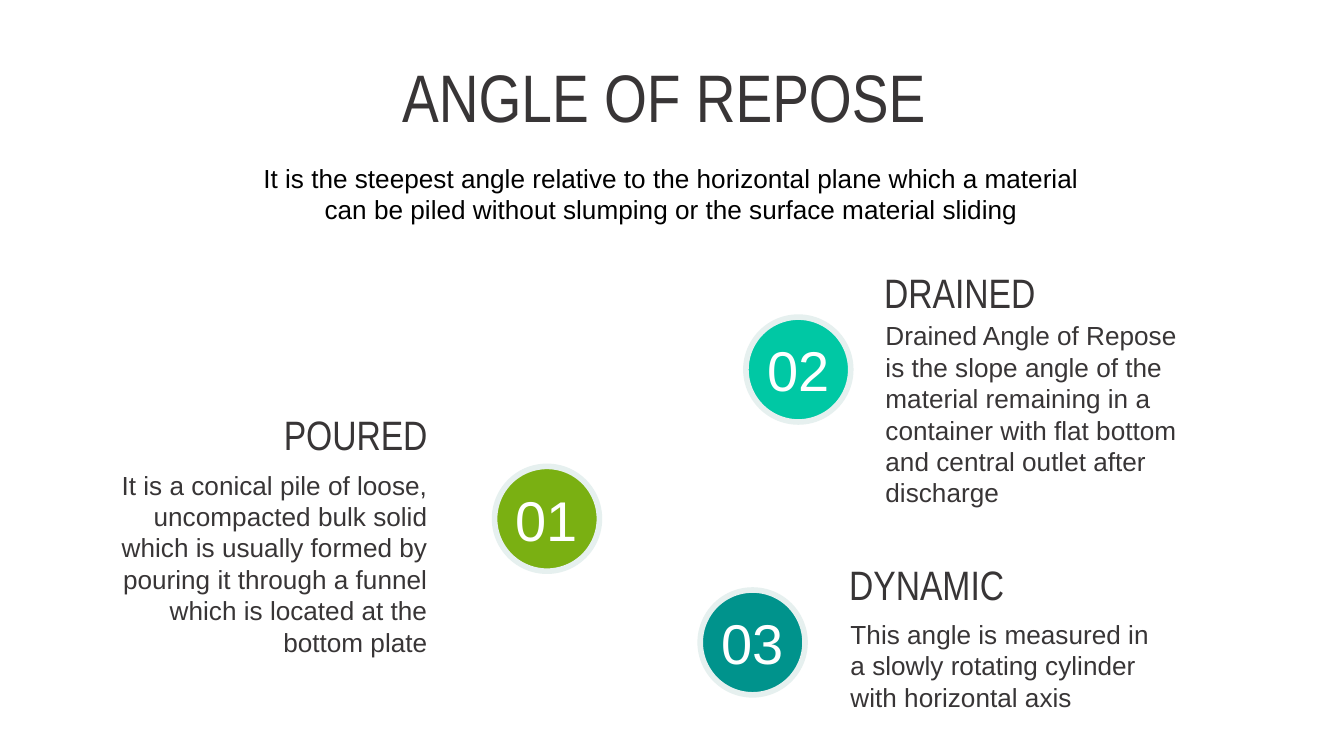
"""Build the Angle of Repose slide with its three numbered methods."""
from pptx import Presentation
from pptx.dml.color import RGBColor
from pptx.enum.shapes import MSO_SHAPE
from pptx.enum.text import MSO_ANCHOR as Anchor, MSO_AUTO_SIZE as AutoSize, PP_ALIGN as Align
from pptx.util import Inches, Pt

DARK = RGBColor(0x38, 0x35, 0x36)
BLACK = RGBColor(0x00, 0x00, 0x00)
WHITE = RGBColor(0xFF, 0xFF, 0xFF)
RING = RGBColor(0xE6, 0xF0, 0xEF)
GREEN = RGBColor(0x7A, 0xB0, 0x12)
MINT = RGBColor(0x00, 0xC8, 0xA4)
TEAL = RGBColor(0x00, 0x93, 0x8C)
DIAMETER = 0.78


def set_text(shape, text, size, color, align, anchor=Anchor.TOP, font="Arial", inset=0.1):
    frame = shape.text_frame
    frame.word_wrap = True
    frame.auto_size = AutoSize.NONE
    frame.vertical_anchor = anchor
    frame.margin_left = frame.margin_right = Inches(0.1 if inset else 0)
    frame.margin_top = frame.margin_bottom = Inches(inset)
    frame.text = text
    paragraph = frame.paragraphs[0]
    paragraph.alignment = align
    paragraph.font.size = Pt(size)
    paragraph.font.name = font
    paragraph.font.color.rgb = color


def add_text(left, top, width, height, *args, **options):
    box = slide.shapes.add_textbox(Inches(left), Inches(top), Inches(width), Inches(height))
    set_text(box, *args, **options)


presentation = Presentation()
presentation.slide_width = Inches(10)
presentation.slide_height = Inches(10) * 9 // 16
slide = presentation.slides.add_slide(presentation.slide_layouts[5])

title = slide.shapes.title
title.left, title.top = Inches(2.59), Inches(0.31)
title.width, title.height = Inches(4.7), Inches(0.69)
set_text(title, "ANGLE OF REPOSE", 36, DARK, Align.CENTER, font="Arial Narrow")

add_text(1.86, 1.16, 6.27, 0.57,
         "It is the steepest angle relative to the horizontal plane which a material "
         "can be piled without slumping or the surface material sliding",
         14, BLACK, Align.CENTER, inset=0.05)

methods = [
    ("01", GREEN, (3.68, 3.47), "POURED", (1.08, 2.88, 2.2), (0.78, 3.39), Align.RIGHT,
     "It is a conical pile of loose, uncompacted bulk solid which is usually formed by "
     "pouring it through a funnel which is located at the bottom plate"),
    ("02", MINT, (5.55, 2.36), "DRAINED", (6.48, 1.83, 1.71), (6.49, 2.28), Align.LEFT,
     "Drained Angle of Repose is the slope angle of the material remaining in a "
     "container with flat bottom and central outlet after discharge"),
    ("03", TEAL, (5.21, 4.39), "DYNAMIC", (6.22, 4, 1.71), (6.23, 4.5), Align.LEFT,
     "This angle is measured in a slowly rotating cylinder with horizontal axis"),
]
for number, color, (left, top), heading, heading_place, body_place, align, body in methods:
    circle = slide.shapes.add_shape(MSO_SHAPE.OVAL, Inches(left), Inches(top),
                                    Inches(DIAMETER), Inches(DIAMETER))
    circle.shadow.inherit = False
    circle.fill.solid()
    circle.fill.fore_color.rgb = color
    circle.line.color.rgb = RING
    circle.line.width = Pt(3)
    set_text(circle, number, 30, WHITE, Align.CENTER, Anchor.MIDDLE, inset=0)
    add_text(*heading_place, 0.63, heading, 22, DARK, align, Anchor.BOTTOM, "Arial Narrow")
    add_text(*body_place, 2.5, 0.96, body, 14, DARK, align)

presentation.save("out.pptx")
